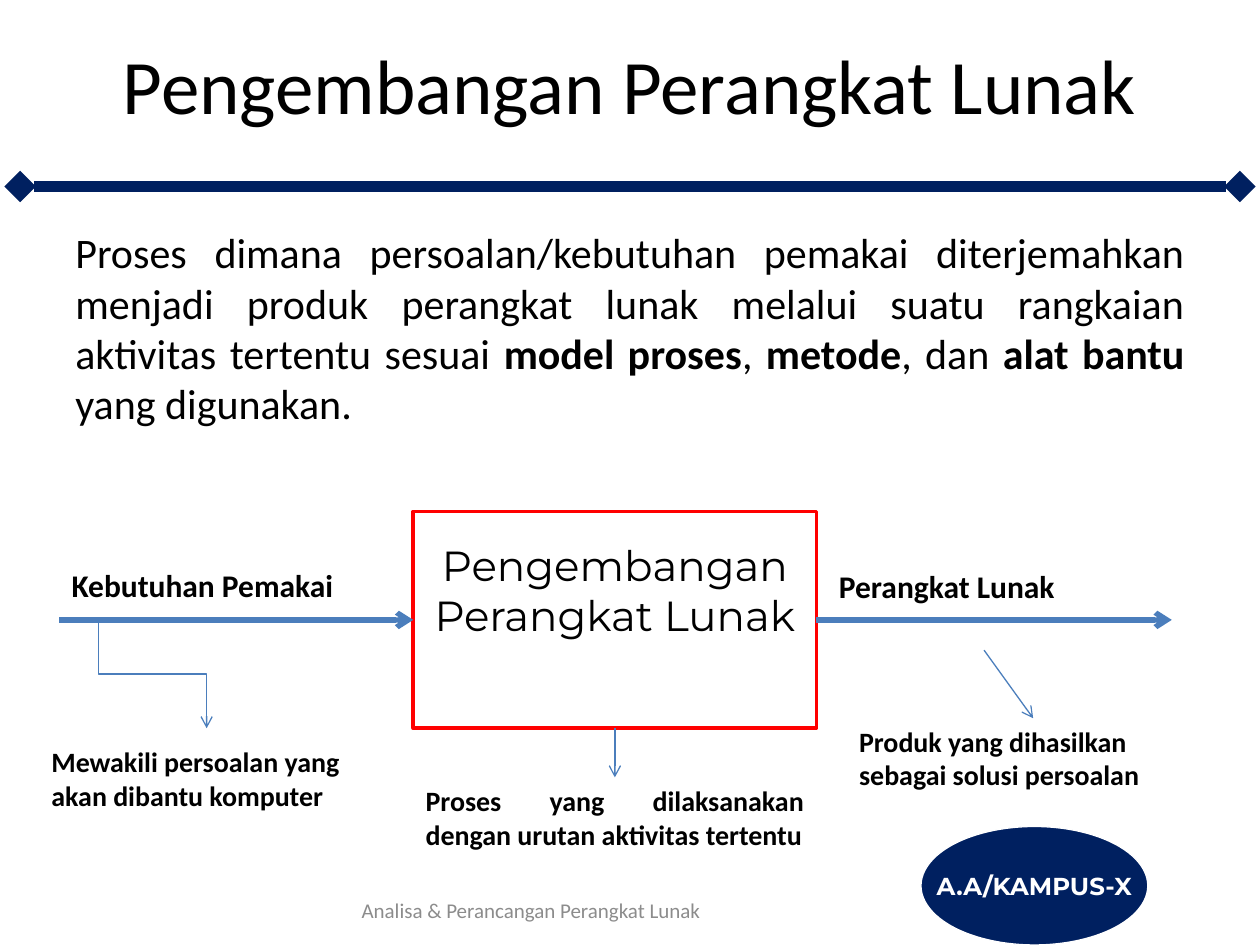
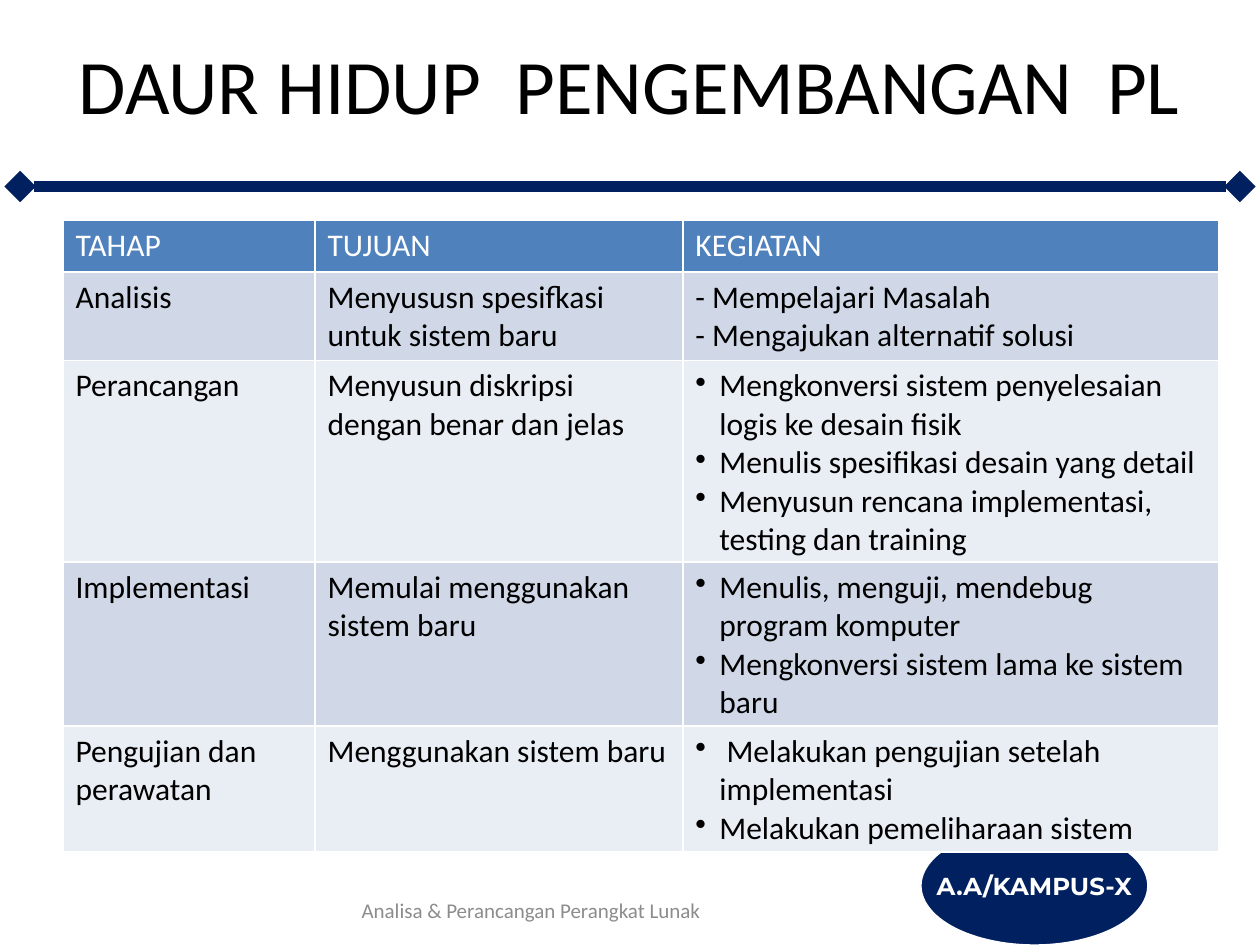
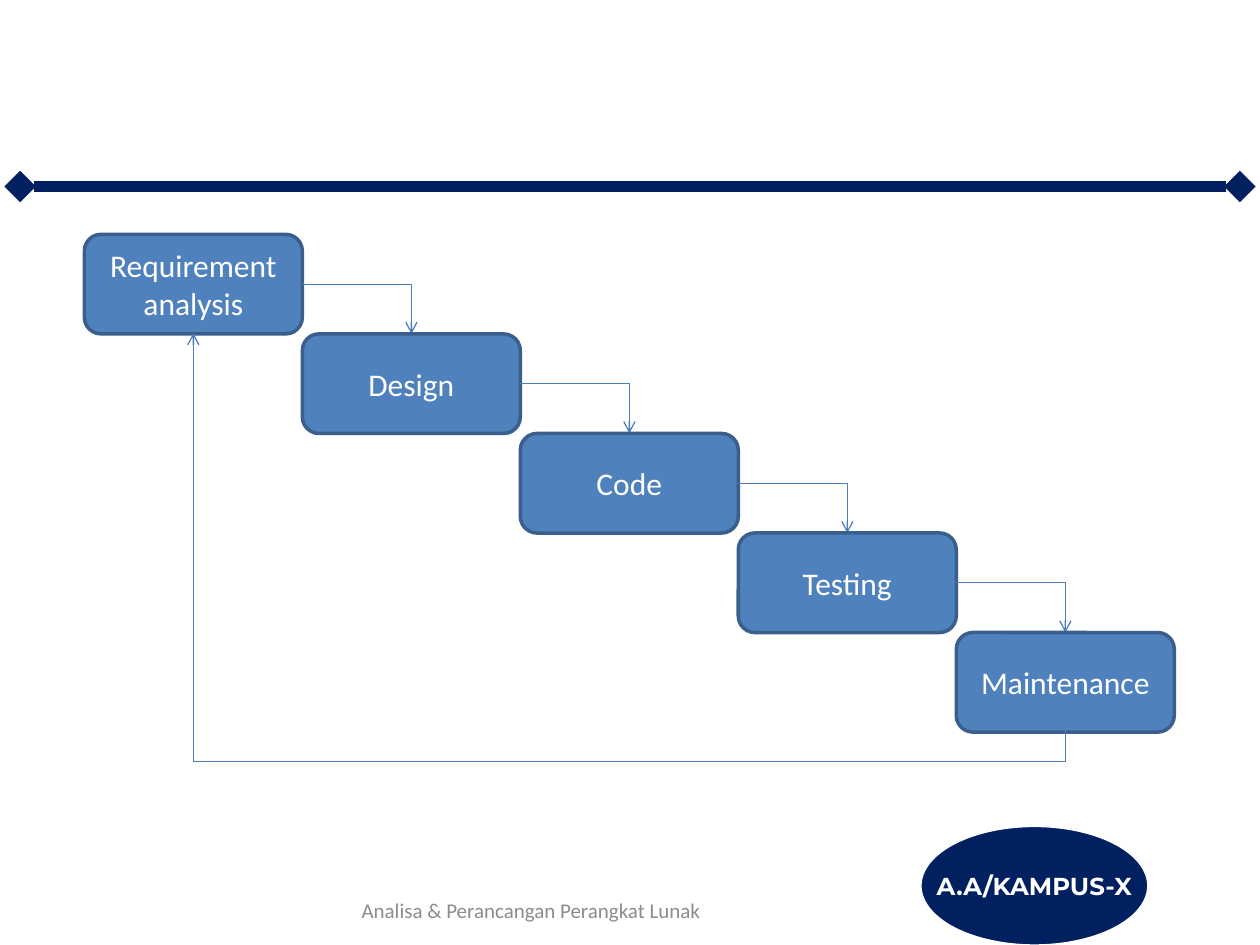
"""Build three slides on software development and its life cycle."""
from lxml import etree
from pptx import Presentation
from pptx.dml.color import RGBColor
from pptx.enum.shapes import MSO_CONNECTOR, MSO_SHAPE
from pptx.enum.text import MSO_ANCHOR, PP_ALIGN
from pptx.oxml.ns import qn
from pptx.util import Inches, Pt

STRAIGHT, ELBOW = MSO_CONNECTOR.STRAIGHT, MSO_CONNECTOR.ELBOW
LEFT, CENTER, JUSTIFY = PP_ALIGN.LEFT, PP_ALIGN.CENTER, PP_ALIGN.JUSTIFY
MIDDLE = MSO_ANCHOR.MIDDLE
NAVY = RGBColor(0x00, 0x20, 0x60)
BLUE = RGBColor(0x4F, 0x81, 0xBD)
EDGE_BLUE = RGBColor(0x3A, 0x5F, 0x8C)
ARROW_BLUE = RGBColor(0x4B, 0x7E, 0xBC)
PALE_BLUE = RGBColor(0xD0, 0xD8, 0xE8)
PALER_BLUE = RGBColor(0xE9, 0xED, 0xF4)
RED = RGBColor(0xFF, 0x00, 0x00)
GRAY = RGBColor(0x8C, 0x8C, 0x8C)
BLACK = RGBColor(0x00, 0x00, 0x00)
WHITE = RGBColor(0xFF, 0xFF, 0xFF)
BODY_FONT, ACCENT_FONT = "Calibri", "Montserrat"


def write(shape, text, size, color=BLACK, align=LEFT, bold=False, font=BODY_FONT):
    """Put one formatted paragraph in a shape and return it."""
    shape.text_frame.word_wrap = True
    para = shape.text_frame.paragraphs[0]
    para.text = text
    para.alignment = align
    para.font.name, para.font.size, para.font.bold = font, Pt(size), bold
    para.font.color.rgb = color
    return para


def add_line(page, kind, ends, weight=0.75, color=ARROW_BLUE, caps=(("tailEnd", "arrow"),)):
    """Draw a connector between two points with the given line ends."""
    line = page.shapes.add_connector(kind, *[Inches(value) for value in ends])
    line.line.color.rgb = color
    line.line.width = Pt(weight)
    properties = line._element.spPr
    for tag, cap in caps:
        etree.SubElement(properties.find(qn("a:ln")), qn(f"a:{tag}"), type=cap)
    etree.SubElement(properties, qn("a:effectLst"))
    return properties


deck = Presentation()
deck.slide_width, deck.slide_height = Inches(10), Inches(7.5)
TITLE_ONLY, BLANK = deck.slide_layouts[5], deck.slide_layouts[6]

pages = []
for title in ["Pengembangan Perangkat Lunak", "DAUR HIDUP  PENGEMBANGAN  PL", None]:
    page = deck.slides.add_slide(TITLE_ONLY if title else BLANK)
    pages.append(page)
    if title:
        heading = page.shapes.title
        heading.left, heading.top = Inches(0), Inches(0)
        heading.width, heading.height = Inches(10), Inches(1.33)
        heading.text_frame.vertical_anchor = MIDDLE
        write(heading, title, 44, align=CENTER)
    add_line(page, STRAIGHT, (0.16, 1.48, 9.84, 1.48), 6, NAVY,
             (("headEnd", "diamond"), ("tailEnd", "diamond")))
    badge = page.shapes.add_shape(
        MSO_SHAPE.OVAL, Inches(7.31), Inches(6.56), Inches(1.8), Inches(0.94))
    badge.shadow.inherit = False
    badge.fill.solid()
    badge.fill.fore_color.rgb = NAVY
    badge.line.color.rgb = WHITE
    badge.text_frame.vertical_anchor = MIDDLE
    write(badge, "A.A/KAMPUS-X", 14, WHITE, CENTER, True, ACCENT_FONT)
    badge.text_frame.word_wrap = False
    footer = page.shapes.add_textbox(Inches(1.48), Inches(6.95), Inches(5.47), Inches(0.55))
    footer.text_frame.vertical_anchor = MIDDLE
    write(footer, "Analisa & Perancangan Perangkat Lunak", 12, GRAY, CENTER)

process_page, table_page, waterfall_page = pages

definition = process_page.shapes.add_textbox(Inches(0.5), Inches(1.75), Inches(9), Inches(2))
para = write(definition, "", 24, align=JUSTIFY)
para.space_before = Pt(4.8)
for text, bold in [
    ("Proses dimana persoalan/kebutuhan pemakai diterjemahkan menjadi produk perangkat "
     "lunak melalui suatu rangkaian aktivitas tertentu sesuai ", False),
    ("model proses", True), (", ", False), ("metode", True), (", dan ", False),
    ("alat bantu ", True), ("yang digunakan.", False),
]:
    span = para.add_run()
    span.text = text
    span.font.bold = bold

process = process_page.shapes.add_shape(
    MSO_SHAPE.RECTANGLE, Inches(3.28), Inches(4.06), Inches(3.2), Inches(1.72))
process.shadow.inherit = False
process.fill.background()
process.line.color.rgb = RED
process.line.width = Pt(2)

for left, top, width, height, text, size, align, bold, font in [
    (3.28, 4.23, 3.2, 1.31, "Pengembangan Perangkat Lunak", 24, CENTER, False, ACCENT_FONT),
    (0.47, 4.44, 2.73, 0.4, "Kebutuhan Pemakai", 18, LEFT, True, BODY_FONT),
    (6.56, 4.45, 2.73, 0.4, "Perangkat Lunak", 18, LEFT, True, BODY_FONT),
    (0.31, 5.86, 2.73, 0.64, "Mewakili persoalan yang akan dibantu komputer",
     16, LEFT, True, BODY_FONT),
    (3.28, 6.17, 3.2, 0.64, "Proses yang dilaksanakan dengan urutan aktivitas tertentu",
     16, JUSTIFY, True, BODY_FONT),
    (6.72, 5.7, 2.97, 0.64, "Produk yang dihasilkan sebagai solusi persoalan",
     16, LEFT, True, BODY_FONT),
]:
    box = process_page.shapes.add_textbox(
        Inches(left), Inches(top), Inches(width), Inches(height))
    write(box, text, size, align=align, bold=bold, font=font)

for ends, weight in [
    ((0.47, 4.92, 3.28, 4.92), 3),
    ((6.48, 4.92, 9.3, 4.92), 3),
    ((4.88, 5.78, 4.88, 6.17), 0.75),
    ((7.81, 5.16, 8.2, 5.7), 0.75),
]:
    add_line(process_page, STRAIGHT, ends, weight)
need_arrow = add_line(process_page, ELBOW, (1.64, 4.92, 0.78, 5.78))
need_arrow.find(qn("a:xfrm")).set("rot", str(270 * 60000))

rows = [
    ("TAHAP", "TUJUAN", ["KEGIATAN"]),
    ("Analisis", "Menyususn spesifkasi untuk sistem baru",
     ["- Mempelajari Masalah", "- Mengajukan alternatif solusi"]),
    ("Perancangan", "Menyusun diskripsi dengan benar dan jelas",
     ["Mengkonversi sistem penyelesaian logis ke desain fisik",
      "Menulis spesifikasi desain yang detail",
      "Menyusun rencana implementasi,  testing dan training"]),
    ("Implementasi", "Memulai menggunakan sistem baru",
     ["Menulis, menguji, mendebug program komputer",
      "Mengkonversi sistem lama ke sistem baru"]),
    ("Pengujian dan perawatan", "Menggunakan sistem baru",
     [" Melakukan pengujian setelah implementasi", "Melakukan pemeliharaan sistem"]),
]
table = table_page.shapes.add_table(
    len(rows), 3, Inches(0.5), Inches(1.75), Inches(9.17), Inches(2.05)).table
for column, width in zip(table.columns, [2, 2.92, 4.25]):
    column.width = Inches(width)
for row_index, (stage, goal, activities) in enumerate(rows):
    for column_index, lines in enumerate([[stage], [goal], activities]):
        cell = table.cell(row_index, column_index)
        cell.fill.solid()
        cell.fill.fore_color.rgb = (
            BLUE if row_index == 0 else PALE_BLUE if row_index % 2 else PALER_BLUE)
        cell.text = "\n".join(lines)
        for para in cell.text_frame.paragraphs:
            para.font.name, para.font.size, para.font.bold = BODY_FONT, Pt(18), False
            para.font.color.rgb = BLACK if row_index else WHITE
            if column_index == 2 and row_index > 1:
                properties = para._p.get_or_add_pPr()
                properties.set("marL", str(Inches(0.19)))
                properties.set("indent", str(Inches(-0.19)))
                bullet = etree.Element(qn("a:buChar"), char="•")
                properties.insert(0, bullet)

STEP_WIDTH, STEP_HEIGHT = 1.73, 0.79
steps = ["Requirement analysis", "Design", "Code", "Testing", "Maintenance"]
for index, name in enumerate(steps):
    left, top = 0.67 + index * STEP_WIDTH, 1.86 + index * STEP_HEIGHT
    step = waterfall_page.shapes.add_shape(
        MSO_SHAPE.ROUNDED_RECTANGLE,
        Inches(left), Inches(top), Inches(STEP_WIDTH), Inches(STEP_HEIGHT))
    step.shadow.inherit = False
    step.fill.solid()
    step.fill.fore_color.rgb = BLUE
    step.line.color.rgb = EDGE_BLUE
    step.line.width = Pt(2)
    step.text_frame.vertical_anchor = MIDDLE
    write(step, name, 18, WHITE, CENTER)
    if index < len(steps) - 1:
        right, bottom = left + STEP_WIDTH, top + STEP_HEIGHT
        step_arrow = add_line(waterfall_page, ELBOW, (
            right, top + STEP_HEIGHT / 2, right + STEP_WIDTH / 2, bottom))
        step_arrow.find(qn("a:prstGeom")).set("prst", "bentConnector2")

return_arrow = add_line(waterfall_page, ELBOW, (6.57, 0.76, 3.42, 7.68))
return_arrow.find(qn("a:xfrm")).set("rot", str(90 * 60000))
guides = return_arrow.find(qn("a:prstGeom")).find(qn("a:avLst"))
etree.SubElement(guides, qn("a:gd"), name="adj1", fmla="val -7900")

deck.save("out.pptx")
